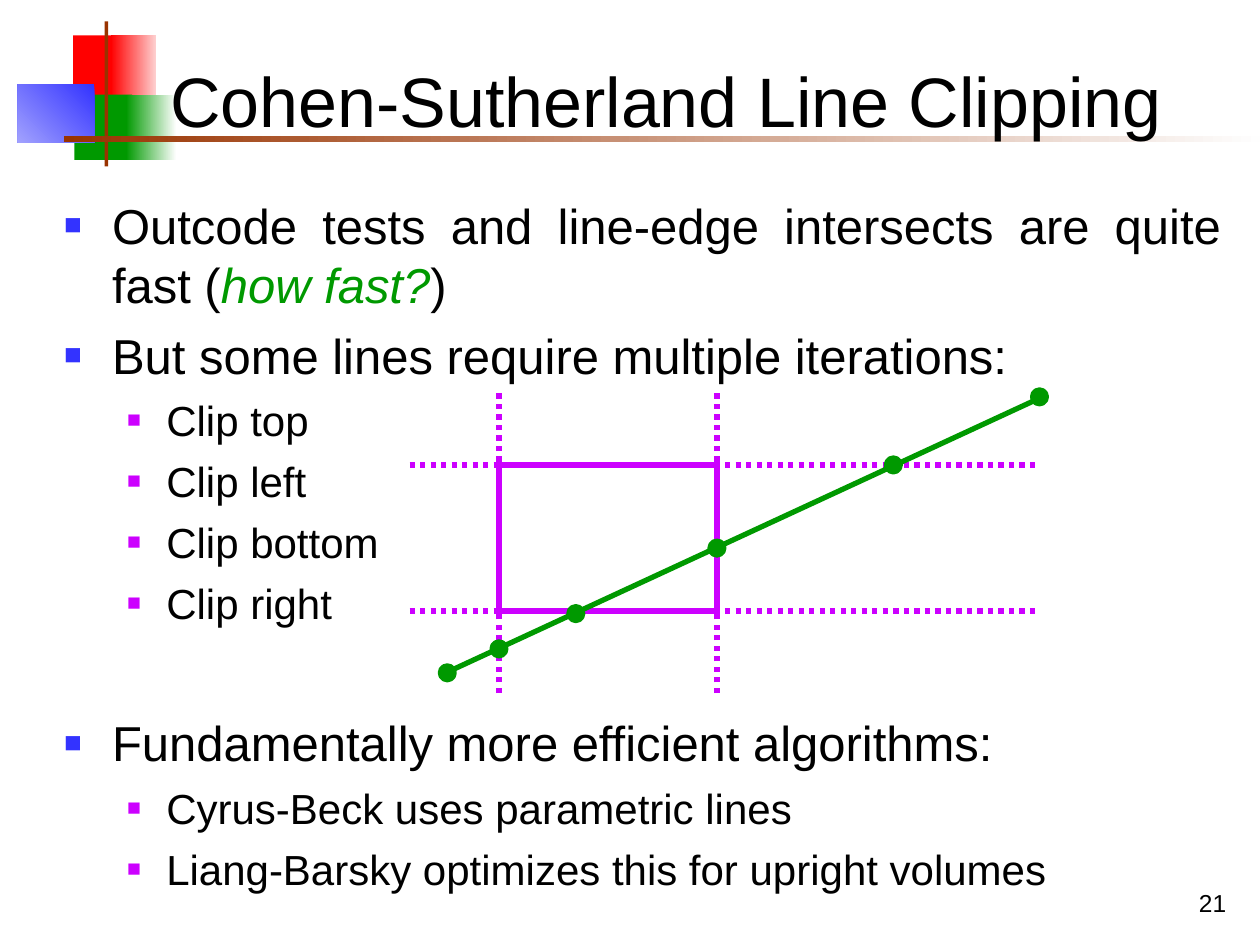
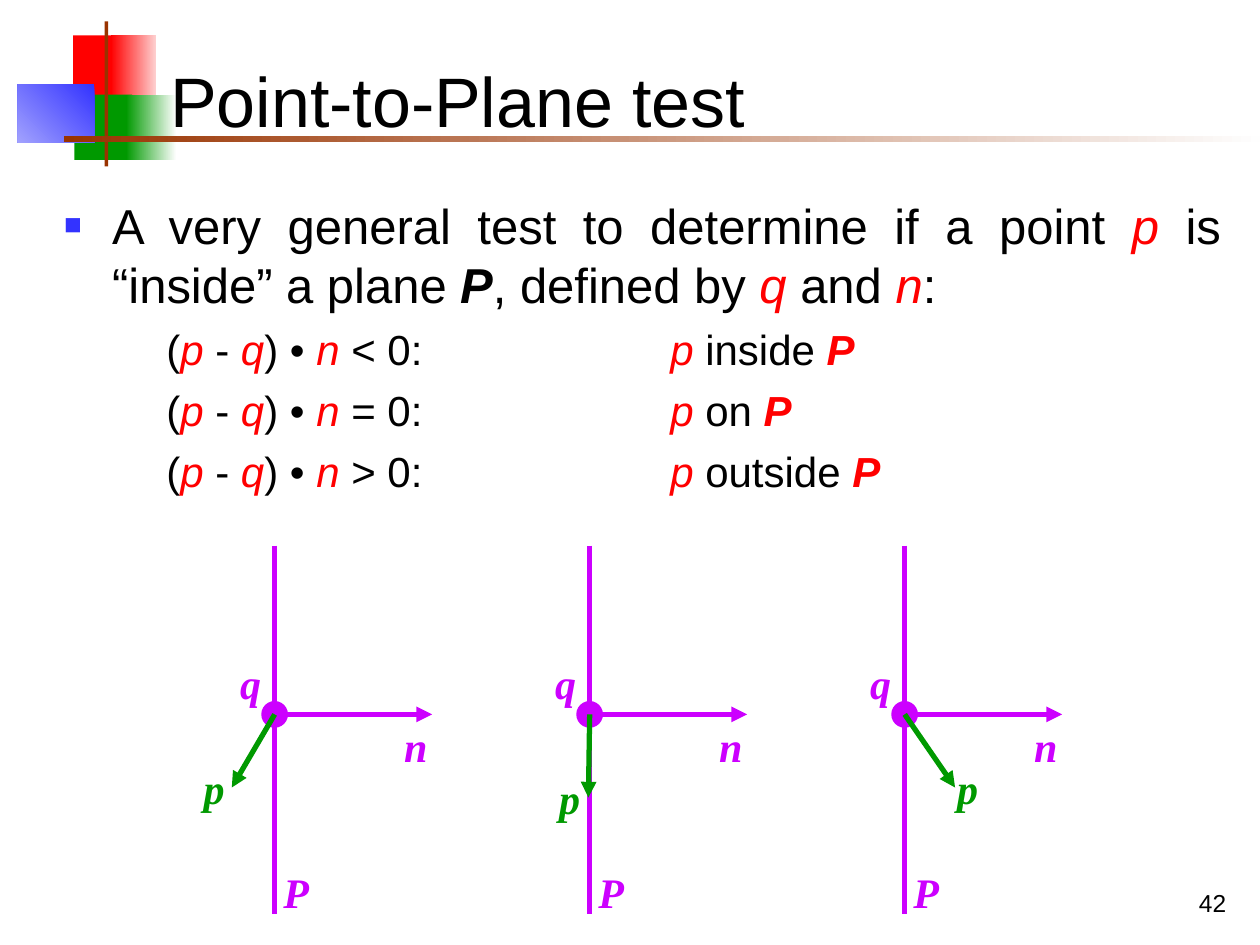
import pptx
import pptx.util
import pptx.dml.color
import pptx.enum.dml
import pptx.enum.shapes
import pptx.enum.text
import pptx.oxml
import pptx.oxml.ns
import lxml.etree

Inches = pptx.util.Inches
Pt = pptx.util.Pt
shapes = pptx.enum.shapes.MSO_SHAPE
aligns = pptx.enum.text.PP_ALIGN
anchors = pptx.enum.text.MSO_ANCHOR
qn = pptx.oxml.ns.qn

black, white, red, green = "000000", "FFFFFF", "FF0000", "009900"
blue, purple, brown = "3333FF", "CC00FF", "993300"


def tint(code):
    return pptx.dml.color.RGBColor.from_string(code)


def write(para, text, size, code=black, bold=False, slant=False, face="Arial"):
    run = para.add_run()
    run.text = text
    run.font.name = face
    run.font.size = Pt(size)
    run.font.bold = bold
    run.font.italic = slant
    run.font.color.rgb = tint(code)


styles = {
    "plain": (black, False, False),
    "green": (green, False, True),
    "red": (red, False, True),
    "bold": (black, True, True),
    "plane": (red, True, True),
}

bands = [
    (0.58, 0.28, 0.35, 0.52, [red], 0),
    (0.88, 0.28, 0.36, 0.52, ["FED0D0", red], 180),
    (0.59, 0.75, 0.46, 0.52, [green], 0),
    (1, 0.75, 0.4, 0.52, [white, green], 180),
    (0.14, 0.67, 0.61, 0.46, [blue, "A1A1FE"], 225),
    (0.83, 0.17, 0.03, 1.15, [brown], 0),
    (0.51, 1.08, 9.49, 0.05, ["FEFEFE", brown], 180),
]

levels = [
    {"size": 28, "left": 0.38, "hang": 0.38, "gap": 7, "mark": blue, "scale": 60},
    {"size": 24, "left": 0.81, "hang": 0.31, "gap": 6, "mark": purple, "scale": 55},
]

clips = [
    (0, 0, True, [("Outcode tests and line-edge intersects are quite fast (", "plain"),
                  ("how fast?", "green"), (")", "plain")]),
    (0, 0, True, [("But some lines require multiple iterations:", "plain")]),
]
for side in ["top", "left", "bottom", "right"]:
    clips.append((1, 0, True, [("Clip " + side, "plain")]))
clips.append((0, 41.7, True, [("Fundamentally more efficient algorithms:", "plain")]))
for note in ["Cyrus-Beck uses parametric lines",
             "Liang-Barsky optimizes this for upright volumes"]:
    clips.append((1, 0, True, [(note, "plain")]))

tests = [
    (0, 0, True, [("A very general test to determine if a point ", "plain"), ("p", "red"),
                  (" is “inside” a plane ", "plain"), ("P", "bold"),
                  (", defined by ", "plain"), ("q", "red"), (" and ", "plain"),
                  ("n", "red"), (":", "plain")]),
]
for sign, place in [("<", "inside"), ("=", "on"), (">", "outside")]:
    tests.append((1, 0, False, [("(", "plain"), ("p", "red"), (" - ", "plain"), ("q", "red"),
                                (") • ", "plain"), ("n", "red"), (f" {sign} 0: \t\t", "plain"),
                                ("p", "red"), (f" {place} ", "plain"), ("P", "plane")]))

left, right, top, base = 3.96, 5.69, 3.69, 4.85
window = []
for y in [top, base]:
    window.append(("line", purple, left, y, right, y, "solid"))
    window.append(("line", purple, 3.25, y, 8.23, y, "dots"))
for x in [left, right]:
    window.append(("line", purple, x, base, x, top, "solid"))
    window.append(("line", purple, x, 5.5, x, 3.08, "dots"))
window.append(("line", green, 3.56, 5.33, 8.23, 3.17, "solid"))
for x, y in [(8.25, 3.15), (7.09, top), (right, 4.35), (4.57, 4.87), (left, 5.15), (3.55, 5.34)]:
    window.append(("dot", green, x, y, 0.11))

planes = []
cases = [(-0.34, 6.25, -0.48, 6.25), (-0.01, 6.33, -0.16, 6.33), (0.4, 6.25, 0.5, 6.25)]
for count, (tip, end, shift, mid) in enumerate(cases):
    x = 2.18 + 2.5 * count
    planes += [
        ("line", purple, x, 4.33, x, 7.25, "solid"),
        ("text", purple, x + 0.16, 7.08, "P"),
        ("line", purple, x, 5.67, x + 1.25, 5.67, "arrow"),
        ("text", purple, x + 1.12, 5.92, "n"),
        ("dot", purple, x, 5.67, 0.17),
        ("line", green, x, 5.67, x + tip, end, "arrow"),
        ("text", green, x + shift, mid, "p"),
        ("text", purple, x - 0.19, 5.42, "q"),
    ]

pages = [
    ("Cohen-Sutherland Line Clipping", clips, window, "21"),
    ("Point-to-Plane test", tests, planes, "42"),
]

deck = pptx.Presentation()
deck.slide_width = Inches(10)
deck.slide_height = Inches(7.5)
layout = deck.slide_layouts[1]

for heading, items, marks, number in pages:
    slide = deck.slides.add_slide(layout)

    if number == pages[0][3]:
        for order, (x, y, wide, high, codes, turn) in enumerate(bands):
            band = slide.shapes.add_shape(shapes.RECTANGLE, Inches(x), Inches(y),
                                          Inches(wide), Inches(high))
            band.shadow.inherit = False
            band.line.fill.background()
            if len(codes) == 1:
                band.fill.solid()
                band.fill.fore_color.rgb = tint(codes[0])
            else:
                band.fill.gradient()
                band.fill.gradient_angle = turn
                for stop, code in zip(band.fill.gradient_stops, codes):
                    stop.color.rgb = tint(code)
            band.element.nvSpPr.cNvPr.set("id", str(20 + order))
            layout.shapes.element.append(band.element)

    title = slide.shapes.title
    title.left, title.top = Inches(1.25), Inches(0.25)
    title.width, title.height = Inches(8.52), Inches(0.92)
    title.text_frame.vertical_anchor = anchors.BOTTOM
    title.text_frame.auto_size = pptx.enum.text.MSO_AUTO_SIZE.NONE
    para = title.text_frame.paragraphs[0]
    para.alignment = aligns.LEFT
    write(para, heading, 40)

    body = slide.placeholders[1]
    body.left, body.top = Inches(0.41), Inches(1.5)
    body.width, body.height = Inches(9.38), Inches(5.75)
    frame = body.text_frame
    frame.auto_size = pptx.enum.text.MSO_AUTO_SIZE.NONE
    for order, (depth, extra, mark, parts) in enumerate(items):
        para = frame.add_paragraph() if order else frame.paragraphs[0]
        level = levels[depth]
        para.level = depth
        para.alignment = aligns.JUSTIFY
        para.space_before = Pt(level["gap"] + extra)
        para.line_spacing = 1.0
        props = para._p.get_or_add_pPr()
        props.set("marL", str(Inches(level["left"])))
        props.set("indent", str(-Inches(level["hang"]) if mark else 0))
        props.set("defTabSz", str(Inches(1)))
        if mark:
            hue = lxml.etree.SubElement(props, qn("a:buClr"))
            lxml.etree.SubElement(hue, qn("a:srgbClr"), val=level["mark"])
            lxml.etree.SubElement(props, qn("a:buSzPct"), val=str(level["scale"] * 1000))
            lxml.etree.SubElement(props, qn("a:buFont"), typeface="Arial")
            lxml.etree.SubElement(props, qn("a:buChar"), char="■")
        else:
            lxml.etree.SubElement(props, qn("a:buNone"))
        for text, style in parts:
            write(para, text, level["size"], *styles[style])

    for kind, code, x, y, *rest in marks:
        if kind == "line":
            line = slide.shapes.add_connector(pptx.enum.shapes.MSO_CONNECTOR.STRAIGHT,
                                              Inches(x), Inches(y),
                                              Inches(rest[0]), Inches(rest[1]))
            line.line.color.rgb = tint(code)
            line.line.width = Pt(3)
            if rest[2] == "dots":
                line.line.dash_style = pptx.enum.dml.MSO_LINE.ROUND_DOT
            if rest[2] == "arrow":
                lxml.etree.SubElement(line.line._get_or_add_ln(), qn("a:tailEnd"), type="triangle")
            lxml.etree.SubElement(line.element.spPr, qn("a:effectLst"))
        elif kind == "dot":
            size = rest[0]
            dot = slide.shapes.add_shape(shapes.OVAL, Inches(x - size / 2), Inches(y - size / 2),
                                         Inches(size), Inches(size))
            dot.shadow.inherit = False
            dot.fill.solid()
            dot.fill.fore_color.rgb = tint(code)
            dot.line.color.rgb = tint(code)
            dot.line.width = Pt(3)
        else:
            label = slide.shapes.add_textbox(Inches(x - 0.19), Inches(y - 0.25),
                                             Inches(0.38), Inches(0.5))
            label.text_frame.word_wrap = False
            label.text_frame.vertical_anchor = anchors.MIDDLE
            para = label.text_frame.paragraphs[0]
            para.alignment = aligns.CENTER
            write(para, rest[0], 24, code, True, True, "Times New Roman")

    foot = slide.shapes.add_textbox(Inches(7.75), Inches(6.83), Inches(2.08), Inches(0.5))
    foot.text_frame.word_wrap = True
    foot.text_frame.vertical_anchor = anchors.BOTTOM
    para = foot.text_frame.paragraphs[0]
    para.alignment = aligns.RIGHT
    write(para, number, 14)

deck.save("out.pptx")
